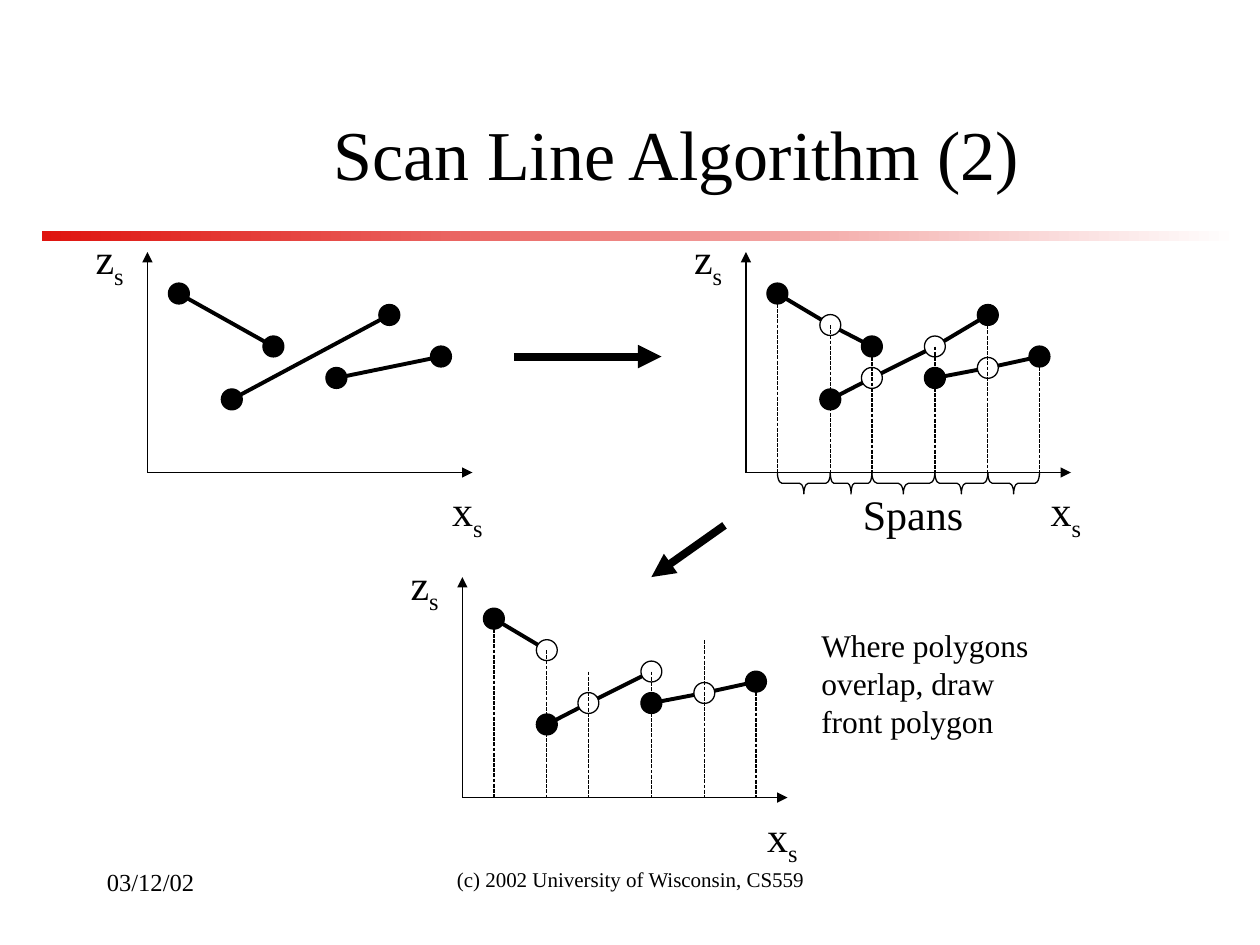
import math
from pptx import Presentation, util as u
from pptx.dml.color import RGBColor
from pptx.enum import dml, shapes, text
from pptx.oxml.ns import qn
from lxml import etree

BLACK, WHITE, RED = "000000", "FFFFFF", "DF140F"
RADIUS = 0.083
AXIS_WIDTH, AXIS_HEIGHT = 2.58, 1.75


def color(value):
    return RGBColor.from_string(value)


class SlideBuilder:
    """Hold the style and the current slide, and draw each kind of element."""

    thin, medium, thick = 0.74, 2.24, 4.5
    font = {"name": "Times New Roman"}

    def __init__(self, slide):
        self.slide = slide

    def text(self, box, content, size, subscript="", align=text.PP_ALIGN.LEFT,
             anchor=text.MSO_ANCHOR.TOP, wrap=True):
        frame = self.slide.shapes.add_textbox(*map(u.Inches, box)).text_frame
        frame.word_wrap, frame.vertical_anchor = wrap, anchor
        if not wrap:
            frame.auto_size = text.MSO_AUTO_SIZE.SHAPE_TO_FIT_TEXT
        paragraph = frame.paragraphs[0]
        paragraph.alignment = align
        for part, baseline in ((content, 0), (subscript, -25000)):
            if not part:
                continue
            run = paragraph.add_run()
            run.text = part
            for key, value in {**self.font, "size": u.Pt(size)}.items():
                setattr(run.font, key, value)
            run.font.color.rgb = color(BLACK)
            if baseline:
                run.font._element.set("baseline", str(baseline))

    def line(self, start, end, width=thin, arrow=False, dash=None):
        connector = self.slide.shapes.add_connector(
            shapes.MSO_CONNECTOR.STRAIGHT, *map(u.Inches, (*start, *end)))
        connector.line.color.rgb = color(BLACK)
        for key, value in {"width": u.Pt(width), "dash_style": dash}.items():
            setattr(connector.line, key, value)
        if arrow:
            line = connector.line._get_or_add_ln()
            etree.SubElement(line, qn("a:tailEnd"), type="triangle")
        etree.SubElement(connector._element.spPr, qn("a:effectLst"))

    def shape(self, kind, box, fill=None, outline=True):
        shape = self.slide.shapes.add_shape(kind, *map(u.Inches, box))
        shape.shadow.inherit = False
        if fill:
            shape.fill.solid()
            shape.fill.fore_color.rgb = color(fill)
        else:
            shape.fill.background()
        if outline:
            shape.line.color.rgb = color(BLACK)
            shape.line.width = u.Pt(self.thin)
        else:
            shape.line.fill.background()
        return shape

    def gradient_bar(self, box, colors):
        bar = self.shape(shapes.MSO_SHAPE.RECTANGLE, box, outline=False)
        bar.fill.gradient()
        bar.fill.gradient_angle = 0
        for stop, value in zip(bar.fill.gradient_stops, colors):
            stop.color.rgb = color(value)

    def brace(self, left, right, top, depth=0.17):
        length = right - left
        box = ((left + right - depth) / 2, top + (depth - length) / 2, depth, length)
        brace = self.shape(shapes.MSO_SHAPE.LEFT_BRACE, box)
        brace.rotation = 270
        brace.adjustments[0] = 0.0833 * length / depth

    def plot(self, origin, points, segments, open_points="", verticals=()):
        left, top = origin
        bottom = top + AXIS_HEIGHT
        self.line((left, bottom), (left, top), arrow=True)
        self.line((left, bottom), (left + AXIS_WIDTH, bottom), arrow=True)
        self.text((left - 0.51, top - 0.2, 0.42, 0.56), "z", 24, "s", wrap=False)
        self.text((left + 2.32, bottom + 0.05, 0.44, 0.56), "x", 24, "s", wrap=False)
        placed = {name: (left + x, top + y) for name, (x, y) in points.items()}
        for first, second in segments.split():
            start, end = placed[first], placed[second]
            ratio = RADIUS / math.dist(start, end)
            ends = []
            for name, near, far in ((first, start, end), (second, end, start)):
                trim = ratio if name in open_points else 0
                ends.append([a + (b - a) * trim for a, b in zip(near, far)])
            self.line(*ends, width=self.medium)
        for name in sorted(set(segments.replace(" ", ""))):
            x, y = placed[name]
            self.shape(shapes.MSO_SHAPE.OVAL,
                       (x - RADIUS, y - RADIUS, 2 * RADIUS, 2 * RADIUS),
                       None if name in open_points else BLACK)
        for x, y in verticals:
            self.line((left + x, top + y), (left + x, bottom),
                      dash=dml.MSO_LINE.SQUARE_DOT)


presentation = Presentation()
presentation.slide_width, presentation.slide_height = u.Inches(10), u.Inches(7.5)
builder = SlideBuilder(presentation.slides.add_slide(presentation.slide_layouts[6]))

POLYGON_ENDS = {"A": (0.25, 0.33), "B": (1, 0.75), "C": (0.67, 1.17),
                "D": (1.92, 0.5), "E": (1.5, 1), "F": (2.33, 0.83)}
CROSSINGS = {"G": (0.67, 0.58), "H": (1, 1), "I": (1.5, 0.75), "J": (1.92, 0.92)}
POINTS = {**POLYGON_ENDS, **CROSSINGS}
SPAN_EDGES = [POINTS[name] for name in "AGBIDF"]
SPANS_ORIGIN = (5.92, 2)

builder.gradient_bar((0.33, 1.83, 9.5, 0.08), (RED, WHITE))
builder.text((1.33, 0.67, 8.08, 1.08), "Scan Line Algorithm (2)", 40,
             align=text.PP_ALIGN.CENTER, anchor=text.MSO_ANCHOR.MIDDLE)

builder.plot((1.17, 2), POINTS, "AB CD EF")
builder.plot(SPANS_ORIGIN, POINTS, "AG GB CH HI ID EJ JF", "GHIJ", SPAN_EDGES)
builder.plot((3.67, 4.58), POINTS, "AG CH HI EJ JF", "GHIJ", SPAN_EDGES)

for (left, _), (right, _) in zip(SPAN_EDGES, SPAN_EDGES[1:]):
    builder.brace(SPANS_ORIGIN[0] + left, SPANS_ORIGIN[0] + right,
                  SPANS_ORIGIN[1] + AXIS_HEIGHT)
builder.text((6.75, 3.83, 1.02, 0.5), "Spans", 24, wrap=False)
builder.text((6.42, 4.92, 1.93, 1), "Where polygons overlap, draw front polygon", 18)

for start, end in (((4.08, 2.83), (5.25, 2.83)), ((5.75, 4.17), (5.17, 4.58))):
    builder.line(start, end, builder.thick, arrow=True)

builder.text((3.42, 6.83, 3.17, 0.5), "(c) 2002 University of Wisconsin, CS559", 12,
             align=text.PP_ALIGN.CENTER)
builder.text((0.75, 6.83, 2.08, 0.5), "03/12/02", 14)

presentation.save("out.pptx")
